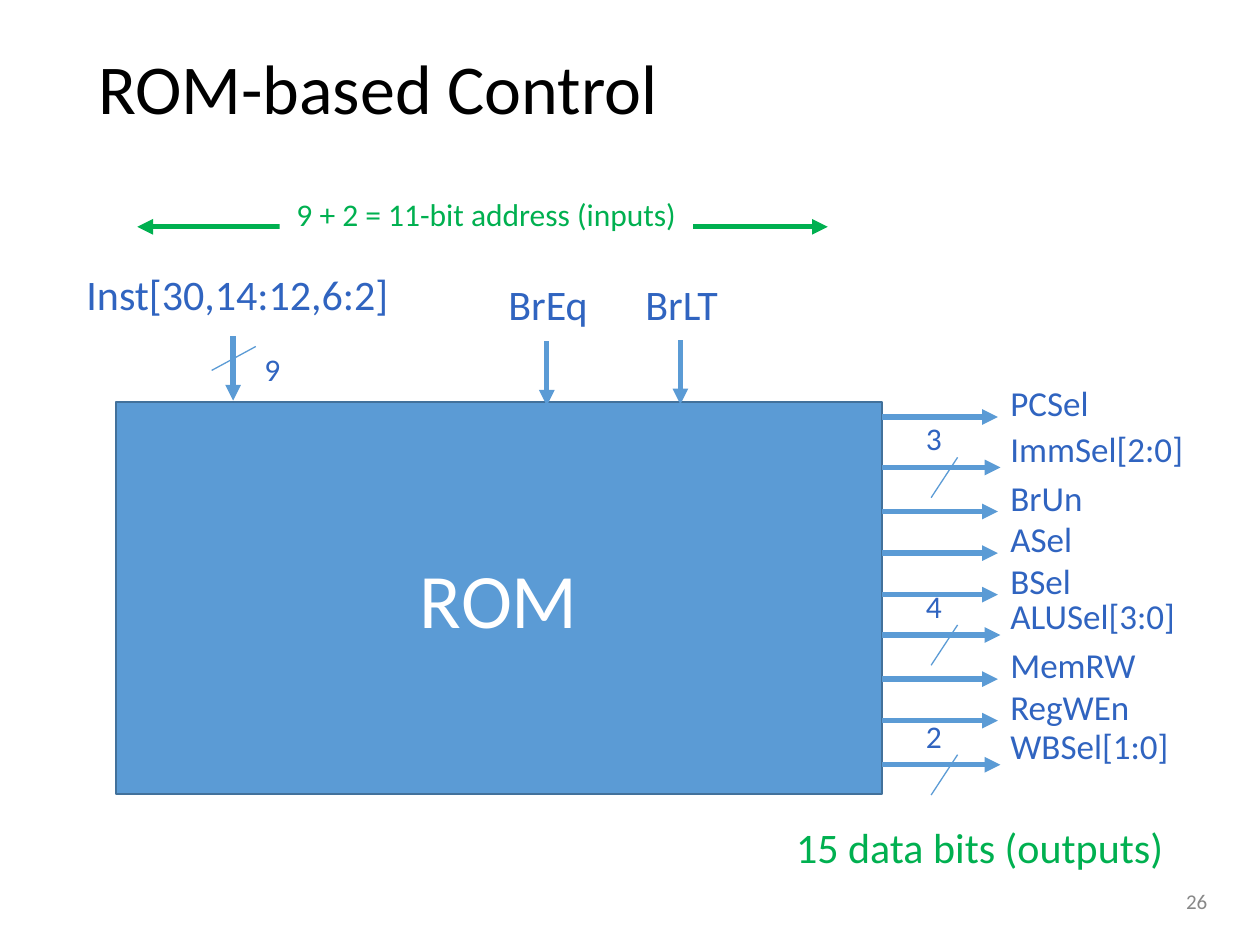
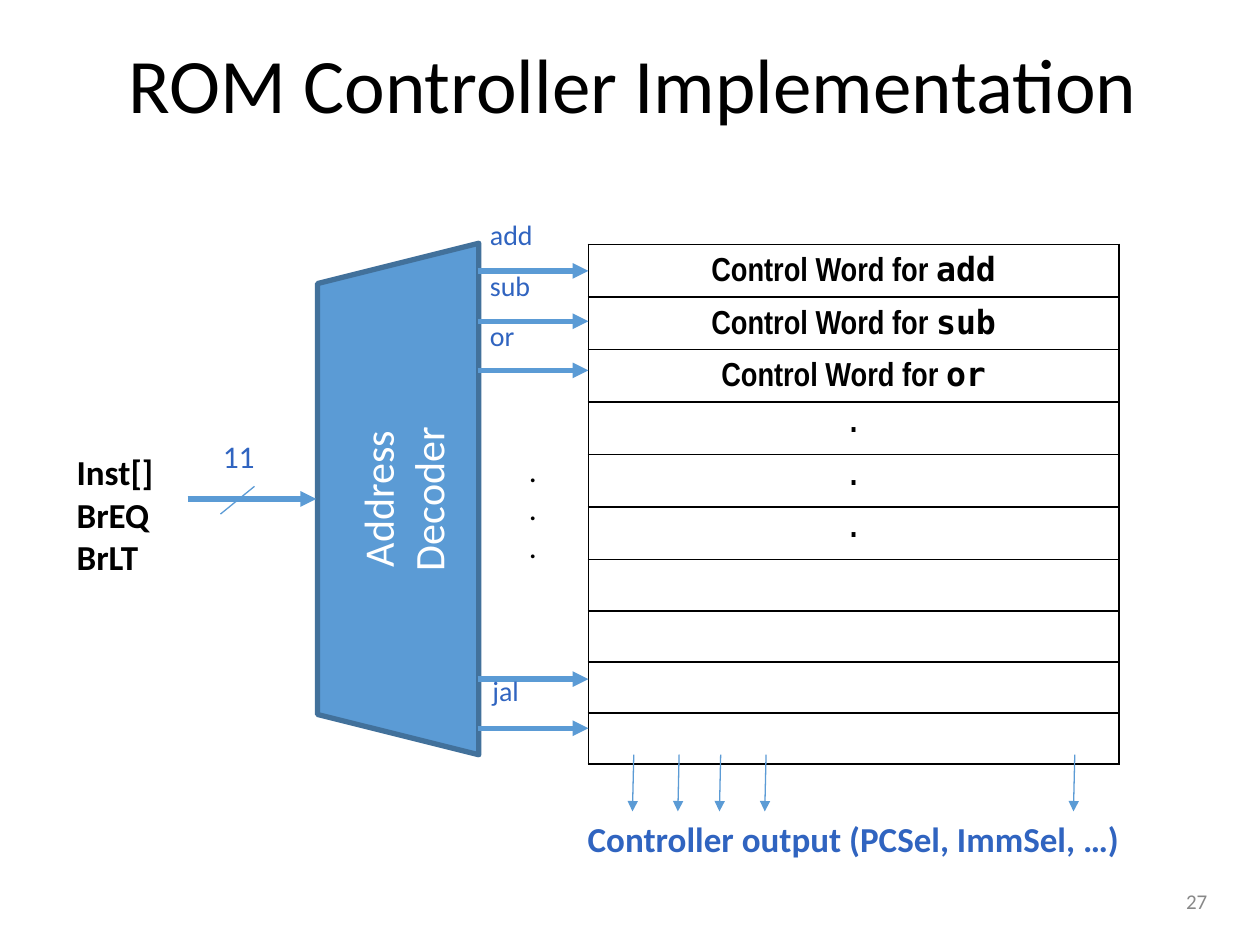
from lxml.etree import SubElement
from pptx import Presentation
from pptx.dml.color import RGBColor
from pptx.enum.shapes import MSO_CONNECTOR as Connector, MSO_SHAPE as Preset
from pptx.enum.text import MSO_ANCHOR as Anchor, PP_ALIGN as Align
from pptx.oxml.ns import qn
from pptx.util import Inches, Pt

BLUE, EDGE, INK = "5B9BD5", "42719B", "3064C0"
GREEN, BLACK, WHITE, GREY = "00B050", "000000", "FFFFFF", "888888"
color = RGBColor.from_string


def write(page, area, lines, size, hue=INK, align=Align.LEFT, anchor=Anchor.TOP,
          wrap=False, bold=False, spacing=1.0, fill=None, edge=0, preset=None):
    place = [Inches(value) for value in area]
    if preset:
        box = page.shapes.add_shape(preset, *place)
        box.shadow.inherit = False
    else:
        box = page.shapes.add_textbox(*place)
    if fill:
        box.fill.solid()
        box.fill.fore_color.rgb = color(fill)
    if edge:
        box.line.color.rgb = color(EDGE)
        box.line.width = Pt(edge)
    frame = box.text_frame
    frame.word_wrap = wrap
    frame.vertical_anchor = anchor
    frame.text = lines
    for para in frame.paragraphs:
        para.alignment = align
        para.line_spacing = spacing
        para.font.size = Pt(size)
        for span in para.runs:
            span.font.color.rgb = color(hue)
            for name, value in {"name": "Calibri", "size": Pt(size), "bold": bold}.items():
                setattr(span.font, name, value)
    return box


def connect(page, start, end, width=3, hue=BLUE, ends=("tailEnd",)):
    points = [Inches(value) for value in (*start, *end)]
    line = page.shapes.add_connector(Connector.STRAIGHT, *points)
    line.line.color.rgb = color(hue)
    line.line.width = Pt(width)
    for name in ends:
        SubElement(line.line._get_or_add_ln(), qn(f"a:{name}"), type="triangle")
    SubElement(line._element.spPr, qn("a:effectLst"))


deck = Presentation()
deck.slide_width, deck.slide_height = Inches(10), Inches(7.5)
pages = []
for number, title, title_area, title_size in (
    (26, "ROM-based Control", (0.68, 0.15, 9.18, 1.15), 40),
    (27, "ROM Controller Implementation", (0.92, 0.13, 8.76, 1.15), 44),
):
    page = deck.slides.add_slide(deck.slide_layouts[6])
    write(page, title_area, title, title_size, BLACK, anchor=Anchor.MIDDLE, wrap=True, spacing=0.9)
    write(page, (7.43, 6.95, 2.25, 0.4), str(number), 12, GREY, Align.RIGHT, Anchor.MIDDLE, wrap=True)
    pages.append(page)
control, controller = pages

write(control, (0.92, 3.19, 6.08, 3.11), "ROM", 44, WHITE, Align.CENTER, Anchor.MIDDLE,
      wrap=True, fill=BLUE, edge=1, preset=Preset.RECTANGLE)

for label, area, arrow_x, arrow_y in (
    ("Inst[30,14:12,6:2]", (0.57, 2.08, 2.63, 0.67), 1.85, 2.67),
    ("BrEq", (3.93, 2.16, 0.84, 0.67), 4.34, 2.71),
    ("BrLT", (5, 2.16, 0.82, 0.67), 5.4, 2.7),
):
    connect(control, (arrow_x, arrow_y), (arrow_x, arrow_y + 0.51))
    write(control, area, label, 24, align=Align.CENTER)
connect(control, (1.68, 2.94), (2.03, 2.75), 0.75, ends=())
write(control, (2, 2.73, 0.33, 0.54), "9", 18)

connect(control, (1.09, 1.8), (6.57, 1.8), hue=GREEN, ends=("headEnd", "tailEnd"))
write(control, (2.22, 1.5, 3.28, 0.67), "9 + 2 = 11-bit address (inputs)", 18, GREEN,
      Align.CENTER, fill=WHITE)
write(control, (6.2, 6.47, 3.15, 0.67), "15 data bits (outputs) ", 24, GREEN,
      Align.CENTER, fill=WHITE)

for signal, width, y, bits in (
    ("PCSel", 0.83, 3.31, ""),
    ("ImmSel[2:0]", 1.58, 3.71, "3"),
    ("BrUn", 0.78, 4.06, ""),
    ("ASel", 0.7, 4.39, ""),
    ("BSel", 0.69, 4.72, ""),
    ("ALUSel[3:0]", 1.53, 5.04, "4"),
    ("MemRW", 1.21, 5.39, ""),
    ("RegWEn", 1.16, 5.72, ""),
    ("WBSel[1:0]", 1.47, 6.07, "2"),
):
    write(control, (7.92, y - (0.37 if bits else 0.33), width, 0.58), signal, 20)
    connect(control, (7, y), (7.94 if bits else 7.92, y))
    if bits:
        connect(control, (7.39, y + 0.24), (7.6, y - 0.08), 0.75, ends=())
        write(control, (7.25, y - 0.43, 0.33, 0.54), bits, 18)

table_area = [Inches(value) for value in (4.67, 1.94, 4.21, 4.06)]
grid = controller.shapes.add_table(10, 1, *table_area)
table = grid.table
table.first_row = table.horz_banding = False
words = [("Control Word for ", name) for name in ("add", "sub", "or")] + [(".",)] * 3 + [()] * 4
for row, word in enumerate(words):
    cell = table.cell(row, 0)
    cell_format = cell._tc.get_or_add_tcPr()
    for side in ("lnL", "lnR", "lnT", "lnB"):
        border = SubElement(cell_format, qn(f"a:{side}"), w=str(Pt(1)))
        SubElement(SubElement(border, qn("a:solidFill")), qn("a:srgbClr"), val=BLACK)
    cell.fill.solid()
    cell.fill.fore_color.rgb = color(WHITE)
    para = cell.text_frame.paragraphs[0]
    para.alignment = Align.CENTER
    para.font.size = Pt(18)
    for text, font in zip(word, ("Arial Narrow", "DejaVu Sans Mono")):
        span = para.add_run()
        span.text = text
        span.font.color.rgb = color(BLACK)
        for name, value in {"name": font, "size": Pt(19), "bold": True}.items():
            setattr(span.font, name, value)

decoder = write(controller, (1.13, 3.32, 4.06, 1.28), "Address\nDecoder", 24, WHITE, Align.CENTER,
                Anchor.MIDDLE, wrap=True, fill=BLUE, edge=3, preset=Preset.TRAPEZOID)
decoder.rotation = 270
decoder.adjustments[0] = 0.25

for y in (2.15, 2.55, 2.94, 5.39, 5.78):
    connect(controller, (3.79, y), (4.67, y))
for name, x, y, width in (
    ("add", 3.79, 1.68, 0.55),
    ("sub", 3.79, 2.08, 0.53),
    ("or", 3.79, 2.48, 0.4),
    ("jal", 3.81, 5.3, 0.43),
):
    write(controller, (x, y, width, 0.49), name, 16)
write(controller, (4.1, 3.53, 0.27, 1.35), ".\n.\n.", 18, BLACK)

write(controller, (0.51, 3.53, 0.82, 1.48), "Inst[]\nBrEQ\nBrLT", 20, BLACK, bold=True)
connect(controller, (1.49, 3.96), (2.51, 3.96))
connect(controller, (1.75, 4.08), (2.02, 3.86), 0.75, ends=())
write(controller, (1.67, 3.42, 0.46, 0.54), "11", 18)

for x in (5.03, 5.39, 5.72, 6.08, 8.53):
    connect(controller, (x, 5.99), (x - 0.01, 6.44), 0.75)
write(controller, (4.54, 6.44, 4.47, 0.58), "Controller output (PCSel, ImmSel, …)", 20,
      align=Align.CENTER, bold=True)

deck.save("out.pptx")
